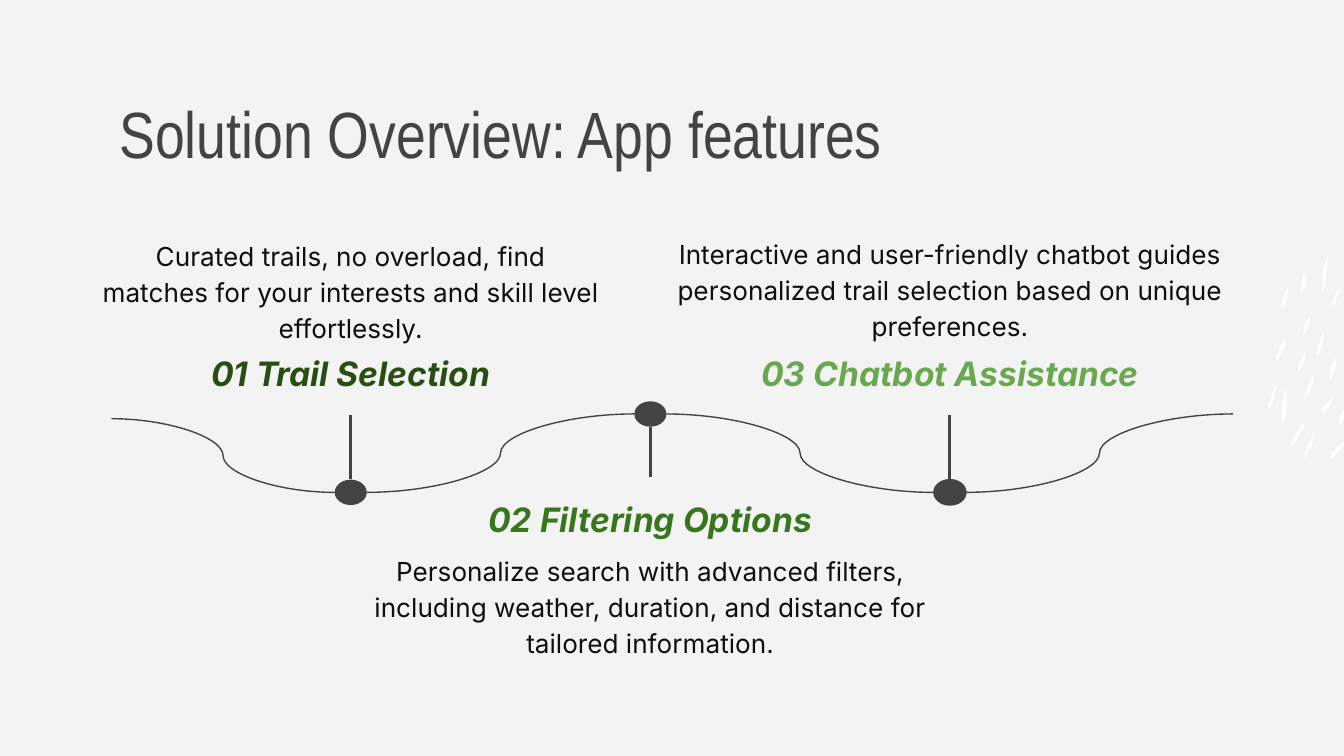
import dataclasses
import itertools
import math

import pptx
import pptx.dml.color
import pptx.enum.shapes
import pptx.enum.text
import pptx.oxml
import pptx.util

Pt = pptx.util.Pt
Anchor = pptx.enum.text.MSO_ANCHOR
Align = pptx.enum.text.PP_ALIGN
Connector = pptx.enum.shapes.MSO_CONNECTOR


@dataclasses.dataclass(frozen=True)
class Theme:
    """Colours, fonts and sizes of the slide."""
    background: str = "F3F3F3"
    ink: str = "434343"
    body: str = "0F0F0F"
    leaf: str = "FFFFFF"
    title_font: str = "Arial Narrow"
    text_font: str = "Inter"
    title_size: float = 35
    heading_size: float = 18
    body_size: float = 14
    stem_width: float = 1.5
    wave_width: float = 0.75


THEME = Theme()

LEAVES = [
    (35.3, 53.3, 33.1, 67.7), (29.5, 40.3, 25.9, 53.3), (24.5, 63.4, 19.4, 76.3),
    (19.4, 51.1, 15.1, 62.6), (22.3, 31.7, 18.7, 42.5), (9.4, 43.2, 4.3, 56.2),
    (3.6, 69.1, 0, 81.4), (9.4, 69.8, 7.2, 91.4), (38.2, 16.6, 33.8, 27.4),
    (31.7, 0, 28.1, 20.9), (20.2, 7.9, 18, 19.4), (10.8, 16.6, 7.2, 28.1),
    (43.2, 78.5, 37.4, 90.7), (34.6, 75.6, 27.4, 85), (25.2, 93.6, 18.7, 109.4),
    (19.4, 88.6, 11.5, 103), (42.5, 96.5, 33.1, 108),
]

FEATURES = [
    ((46.9, 120.7, 282, 101.5), 204.5, True, "01 Trail Selection", "274E13",
     "Curated trails, no overload, find matches for your interests and skill level effortlessly."),
    ((187.9, 255.6, 321, 103), 204.5, False, "02 Filtering Options", "38761D",
     "Personalize search with advanced filters, including weather, duration, and distance for "
     "tailored information."),
    ((351.7, 119.5, 314.6, 102.6), 231, True, "03 Chatbot Assistance", "6AA84F",
     "Interactive and user-friendly chatbot guides personalized trail selection based on unique "
     "preferences."),
]


def rgb(value):
    """Turn a hex string into a colour."""
    return pptx.dml.color.RGBColor.from_string(value)


def add_text(slide, box, text, font, size, color, anchor=Anchor.TOP,
             align=Align.LEFT, spacing=None, emphasis=False):
    """Place one wrapped paragraph in a box."""
    frame = slide.shapes.add_textbox(*map(Pt, box)).text_frame
    frame.word_wrap = True
    frame.vertical_anchor = anchor
    frame.margin_left = frame.margin_right = Pt(7.2)
    frame.margin_top = frame.margin_bottom = Pt(7.2)
    paragraph = frame.paragraphs[0]
    paragraph.alignment = align
    if spacing:
        paragraph.line_spacing = spacing
    run = paragraph.add_run()
    run.text = text
    run.font.name = font
    run.font.size = Pt(size)
    run.font.color.rgb = rgb(color)
    run.font.bold = run.font.italic = emphasis


def add_line(slide, kind, start, end, width):
    """Draw a straight or curved connector without shadow."""
    line = slide.shapes.add_connector(kind, *map(Pt, (*start, *end)))
    line.line.color.rgb = rgb(THEME.ink)
    line.line.width = Pt(width)
    properties = line._element.spPr
    properties.append(pptx.oxml.parse_xml(
        '<a:effectLst xmlns:a="http://schemas.openxmlformats.org/drawingml/2006/main"/>'))


def fill_shape(shape, color):
    """Give a shape a plain fill with no outline or shadow."""
    shape.shadow.inherit = False
    shape.fill.solid()
    shape.fill.fore_color.rgb = rgb(color)
    shape.line.fill.background()


def draw_leaves(slide, box):
    """Scatter slim tilted leaf strokes from the top left of the box."""
    left, top = box[:2]
    steps = 6
    half_width = 1.1
    rotation = 332.4
    tilt = math.radians(360 - rotation)
    for x1, y1, x2, y2 in LEAVES:
        center_x, center_y = left + (x1 + x2) / 2, top + (y1 + y2) / 2
        half_length = math.hypot(x2 - x1, y2 - y1) / 2
        direction = math.atan2(y2 - y1, x2 - x1) + tilt
        cosine, sine = math.cos(direction), math.sin(direction)
        points = []
        for index in range(2 * steps):
            angle = math.pi * index / steps
            along = -half_length * math.cos(angle)
            across = half_width * math.sin(angle) * abs(math.sin(angle))
            points.append((center_x + along * cosine - across * sine,
                           center_y + along * sine + across * cosine))
        builder = slide.shapes.build_freeform(*points[0], scale=Pt(1))
        builder.add_line_segments(points[1:], close=True)
        leaf = builder.convert_to_shape()
        leaf.rotation = rotation
        fill_shape(leaf, THEME.leaf)


def draw_title(slide, box):
    """Write the slide title in the box."""
    add_text(slide, box, "Solution Overview: App features",
             THEME.title_font, THEME.title_size, THEME.ink)


def draw_feature(slide, box, heading_width, above, heading, color, body):
    """Stack a heading and its description, with the heading nearest the wave."""
    left, top, width, height = box
    heading_height, body_height = 40.3, 70.6
    heading_top = top + height - heading_height if above else top
    body_top = top if above else top + height - body_height
    add_text(slide, (left + (width - heading_width) / 2, heading_top, heading_width, heading_height),
             heading, THEME.text_font, THEME.heading_size, color,
             Anchor.TOP if above else Anchor.BOTTOM, Align.CENTER, emphasis=True)
    add_text(slide, (left, body_top, width, body_height),
             body, THEME.text_font, THEME.body_size, THEME.body,
             Anchor.BOTTOM if above else Anchor.TOP, Align.CENTER, 1.15)


def draw_wave(slide, box):
    """Draw the curve through three markers, each with a stem to its heading."""
    left, top, width, height = box
    bottom = top + height
    pitch = 160.5
    marker_width, marker_height = 17.2, 13.6
    first = left + 128.2
    markers = [(first, bottom), (first + pitch, top), (first + 2 * pitch, bottom)]
    for x, y in markers:
        stem_start, stem_end = (bottom - 7, top + 0.5) if y == bottom else (top + 7, bottom - 8.3)
        add_line(slide, Connector.STRAIGHT, (x, stem_start), (x, stem_end), THEME.stem_width)
        marker = slide.shapes.add_shape(
            pptx.enum.shapes.MSO_SHAPE.OVAL,
            *map(Pt, (x - marker_width / 2, y - marker_height / 2, marker_width, marker_height)))
        fill_shape(marker, THEME.ink)
    marker.line.color.rgb = rgb(THEME.ink)
    marker.line.width = Pt(THEME.wave_width)
    radius = marker_width / 2
    stops = [(left - radius, top + 2.5), *markers, (left + width + radius, top)]
    for (x1, y1), (x2, y2) in itertools.pairwise(stops):
        add_line(slide, Connector.CURVE, (x1 + radius, y1), (x2 - radius, y2), THEME.wave_width)


def main():
    """Build and save the slide."""
    presentation = pptx.Presentation()
    presentation.slide_width = Pt(720)
    presentation.slide_height = Pt(405)
    slide = presentation.slides.add_slide(presentation.slide_layouts[6])
    slide.background.fill.solid()
    slide.background.fill.fore_color.rgb = rgb(THEME.background)
    draw_leaves(slide, (679.7, 137.5, 43.2, 109.4))
    draw_title(slide, (56.9, 42.5, 607, 45.4))
    for feature in FEATURES:
        draw_feature(slide, *feature)
    draw_wave(slide, (59.7, 221.8, 600.8, 42))
    presentation.save("out.pptx")


if __name__ == "__main__":
    main()
